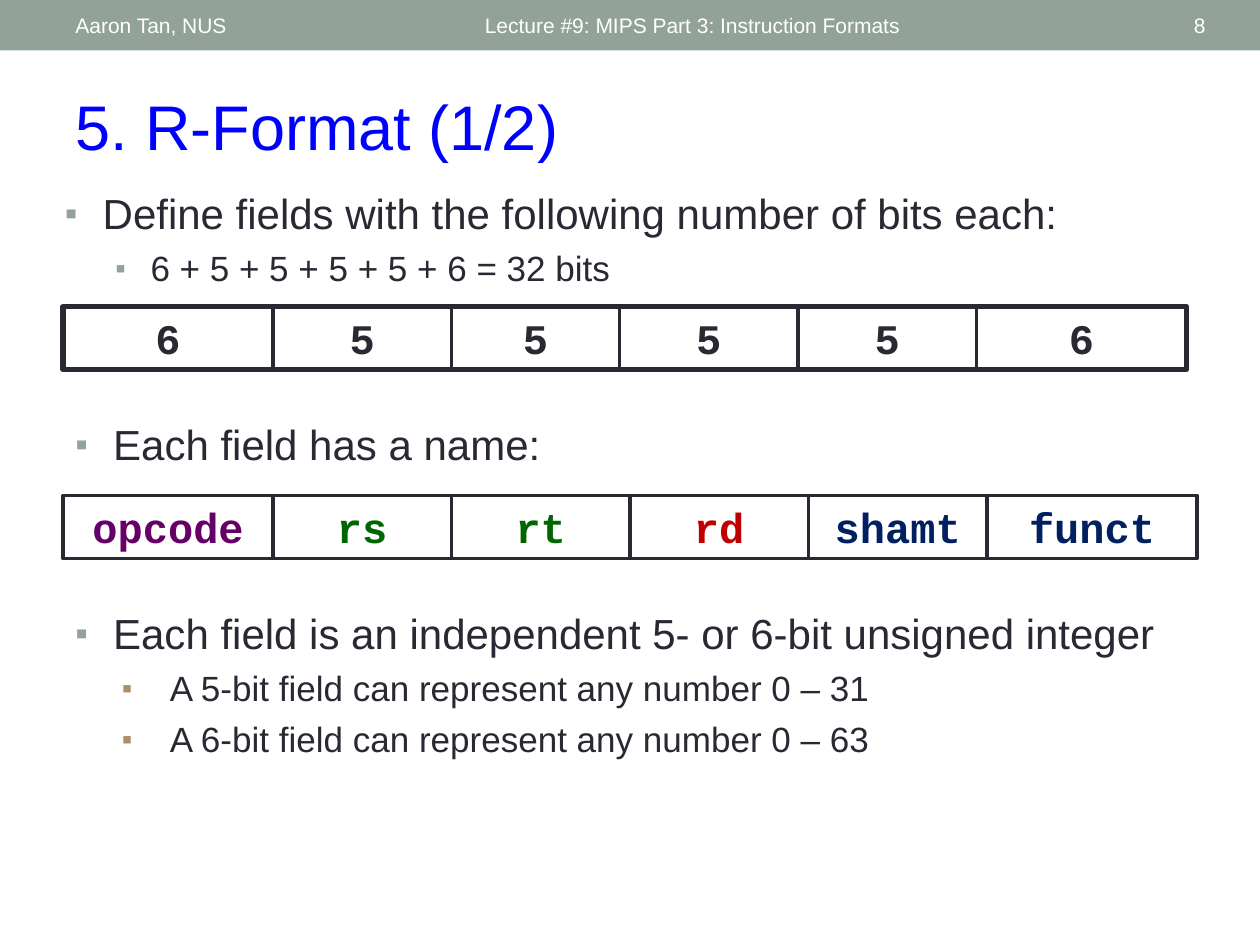
from itertools import accumulate

from lxml import etree
from pptx import Presentation
from pptx.dml.color import RGBColor
from pptx.enum.shapes import MSO_CONNECTOR, MSO_SHAPE
from pptx.enum.text import MSO_ANCHOR, PP_ALIGN
from pptx.oxml.ns import qn
from pptx.util import Inches, Pt

RECTANGLE = MSO_SHAPE.RECTANGLE
STRAIGHT = MSO_CONNECTOR.STRAIGHT
TOP, MIDDLE = MSO_ANCHOR.TOP, MSO_ANCHOR.MIDDLE
LEFT, CENTER, RIGHT = PP_ALIGN.LEFT, PP_ALIGN.CENTER, PP_ALIGN.RIGHT

# The slide is a grid of 120 columns by 90 rows, twelve to the inch.
COLUMNS, ROWS = 120, 90
INK, SAGE, TAN, WHITE, BLUE = "292934", "93A299", "AD8F67", "FFFFFF", "0000FF"
PURPLE, GREEN, RED, NAVY = "660066", "006600", "C00000", "002060"
SANS, MONO = "Arial", "Courier New"


def grid(units):
    return Inches(units / 12)


def color(hex_string):
    return RGBColor.from_string(hex_string)


def style(para, size, hex_string, font=SANS, bold=False, align=LEFT):
    para.alignment = align
    para.font.size = Pt(size)
    para.font.name = font
    para.font.bold = bold
    para.font.color.rgb = color(hex_string)


def add_text_box(page, box, anchor=TOP, wrap=True):
    frame = page.shapes.add_textbox(*map(grid, box)).text_frame
    frame.word_wrap = wrap
    frame.vertical_anchor = anchor
    return frame


def add_label(page, box, text, size, hex_string, anchor=TOP, wrap=True, **look):
    frame = add_text_box(page, box, anchor, wrap)
    frame.text = text
    style(frame.paragraphs[0], size, hex_string, **look)


def add_rectangle(page, box, fill=None, line=None, weight=0):
    shape = page.shapes.add_shape(RECTANGLE, *map(grid, box))
    shape.shadow.inherit = False
    if fill:
        shape.fill.solid()
        shape.fill.fore_color.rgb = color(fill)
    else:
        shape.fill.background()
    if line:
        shape.line.color.rgb = color(line)
        shape.line.width = Pt(weight)
    else:
        shape.line.fill.background()
    return shape


def add_divider(page, x, top, bottom):
    line = page.shapes.add_connector(STRAIGHT, *map(grid, (x, top, x, bottom)))
    line.line.color.rgb = color(INK)
    line.line.width = Pt(2.25)
    etree.SubElement(line._element.spPr, qn("a:effectLst"))


def add_bullet(para, hex_string, margin, hanging):
    """Give the paragraph a square bullet; the indents are in inches."""
    properties = para._p.get_or_add_pPr()
    properties.set("marL", str(Inches(margin)))
    properties.set("indent", str(-Inches(hanging)))
    bullet_color = etree.SubElement(properties, qn("a:buClr"))
    etree.SubElement(bullet_color, qn("a:srgbClr"), val=hex_string)
    etree.SubElement(properties, qn("a:buSzPct"), val="85000")
    etree.SubElement(properties, qn("a:buFont"), typeface=SANS)
    etree.SubElement(properties, qn("a:buChar"), char="▪")


def add_bullet_list(page, box, heading, details=(), detail_bullet=None):
    frame = add_text_box(page, box)
    frame.text = "\n".join([heading, *details])
    first, *others = frame.paragraphs
    add_bullet(first, SAGE, 0.3, 0.3)
    style(first, 24, INK)
    for para in others:
        para.level = 1
        para.space_before = Pt(5)
        add_bullet(para, *detail_bullet)
        style(para, 20, INK)


def add_header(page, box):
    left, top, width, height = box
    add_rectangle(page, box, fill=SAGE)
    items = [
        ("Aaron Tan, NUS", 6, 38, LEFT),
        ("Lecture #9: MIPS Part 3: Instruction Formats", 45, 54, LEFT),
        ("8", width - 15.4, 11.4, RIGHT),
    ]
    for text, x, span_width, align in items:
        add_label(page, (left + x, top + 0.24, span_width, height - 0.48), text,
                  12, WHITE, anchor=MIDDLE, align=align)


def add_bit_row(page, left, top, height, fields):
    """Draw one frame split by dividers, from (bits, columns) pairs."""
    edges = list(accumulate((columns for _, columns in fields), initial=left))
    for (bits, columns), x in zip(fields, edges):
        add_label(page, (x + columns / 2 - 2.4, top, 4.8, height), bits, 24, INK,
                  wrap=False, font=MONO, bold=True, align=CENTER)
    add_rectangle(page, (left, top, edges[-1] - left, height), line=INK, weight=3)
    for x in edges[1:-1]:
        add_divider(page, x, top, top + height)


def add_name_row(page, left, top, height, fields):
    """Draw adjoining named cells, from (name, columns, colour) triples."""
    x = left
    for name, columns, hex_string in fields:
        cell = add_rectangle(page, (x, top, columns, height), WHITE, INK, 2.08)
        frame = cell.text_frame
        frame.text = name
        frame.word_wrap = True
        frame.vertical_anchor = MIDDLE
        style(frame.paragraphs[0], 24, hex_string, MONO, True, CENTER)
        x += columns


def main():
    deck = Presentation()
    deck.slide_width, deck.slide_height = grid(COLUMNS), grid(ROWS)
    page = deck.slides.add_slide(deck.slide_layouts[6])

    add_header(page, (0, 0, COLUMNS, 4.8))
    add_label(page, (6, 7.7, 108, 8.5), "5. R-Format (1/2)", 36, BLUE)

    add_bullet_list(page, (5, 17.3, 110, 12),
                    "Define fields with the following number of bits each:",
                    ["6 + 5 + 5 + 5 + 5 + 6 = 32 bits"], (SAGE, 0.68, 0.28))
    add_bit_row(page, 6, 29.2, 6, [("6", 20), ("5", 17), ("5", 16),
                                   ("5", 17), ("5", 17), ("6", 20)])

    add_bullet_list(page, (6, 39.3, 110, 7), "Each field has a name:")
    add_name_row(page, 6, 47.2, 6, [
        ("opcode", 20, PURPLE), ("rs", 17, GREEN), ("rt", 17, GREEN),
        ("rd", 17, RED), ("shamt", 17, NAVY), ("funct", 20, NAVY)])

    add_bullet_list(page, (6, 57.3, 108, 22),
                    "Each field is an independent 5- or 6-bit unsigned integer",
                    ["A 5-bit field can represent any number 0 – 31",
                     "A 6-bit field can represent any number 0 – 63"],
                    (TAN, 0.75, 0.38))
    deck.save("out.pptx")


if __name__ == "__main__":
    main()
